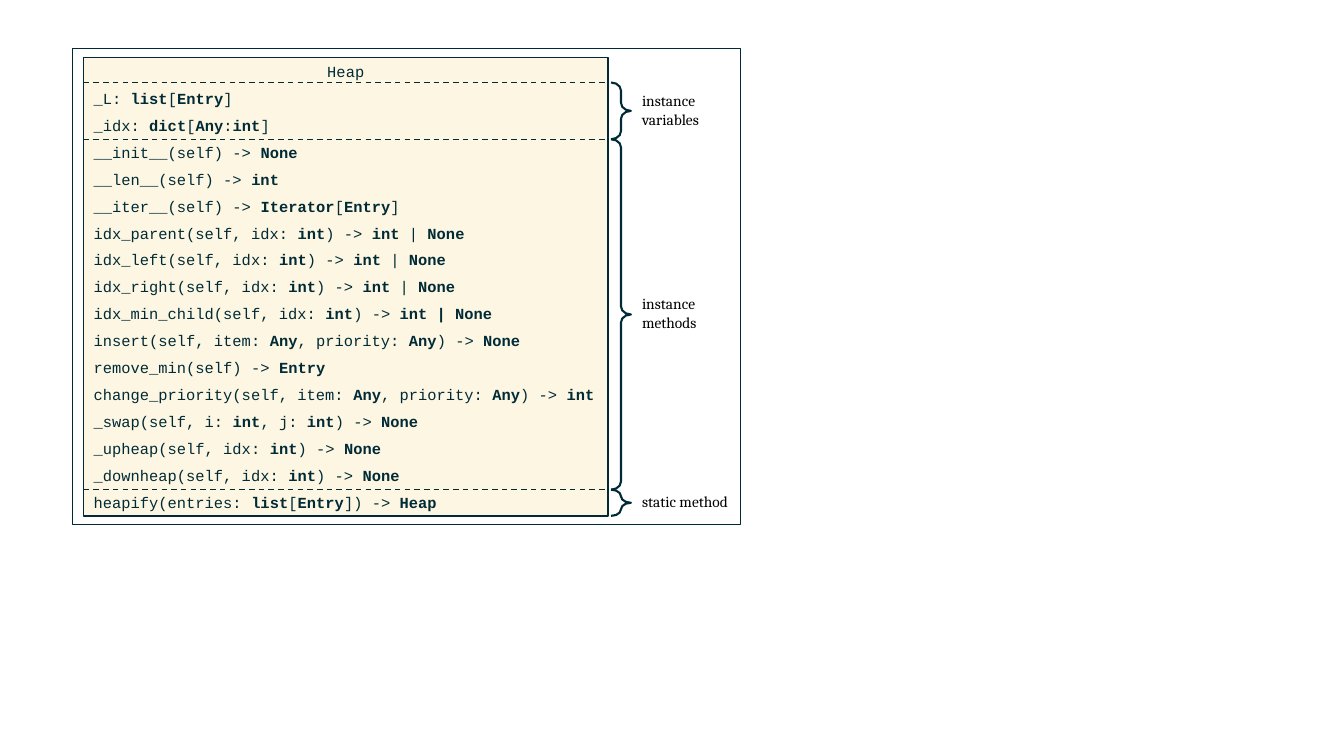
"""Build a slide showing the members of the Heap class."""
from lxml.etree import SubElement
from pptx import Presentation
from pptx.dml.color import RGBColor
from pptx.enum.dml import MSO_LINE
from pptx.enum.shapes import MSO_CONNECTOR, MSO_SHAPE
from pptx.enum.text import MSO_ANCHOR, MSO_AUTO_SIZE, PP_ALIGN
from pptx.oxml.ns import qn
from pptx.util import Cm, Pt

COLORS = {"ink": "002B36", "cream": "FDF6E3", "white": "FFFFFF", "black": "000000"}

MEMBERS = [
    "Heap",
    "_L: *list*[*Entry*]",
    "_idx: *dict*[*Any*:*int*]",
    "__init__(self) -> *None*",
    "__len__(self) -> *int*",
    "__iter__(self) -> *Iterator*[*Entry*]",
    "idx_parent(self, idx: *int*) -> *int* | *None*",
    "idx_left(self, idx: *int*) -> *int* | *None*",
    "idx_right(self, idx: *int*) -> *int* | *None*",
    "idx_min_child(self, idx: *int*) -> *int | None*",
    "insert(self, item: *Any*, priority: *Any*) -> *None*",
    "remove_min(self) -> *Entry*",
    "change_priority(self, item: *Any*, priority: *Any*) -> *int*",
    "_swap(self, i: *int*, j: *int*) -> *None*",
    "_upheap(self, idx: *int*) -> *None*",
    "_downheap(self, idx: *int*) -> *None*",
    "heapify(entries: *list*[*Entry*]) -> *Heap*",
]

LEFT, TOP, WIDTH, BOTTOM = 2.11, 1.45, 13.21, 13.0
SECTIONS = [
    (2.08, 3.51, "instance variables", 2.18, 2.11),
    (3.51, 12.34, "instance methods", 7.29, 2.41),
    (12.34, BOTTOM, "static method", 12.27, 2.9),
]


def rgb(name):
    return RGBColor.from_string(COLORS[name])


def add_outline(kind, left, top, width, height, fill, weight):
    sp = s.shapes.add_shape(kind, Cm(left), Cm(top), Cm(width), Cm(height))
    sp.shadow.inherit = False
    if fill:
        sp.fill.solid()
        sp.fill.fore_color.rgb = rgb(fill)
    else:
        sp.fill.background()
    sp.line.color.rgb = rgb("ink")
    sp.line.width = Pt(weight)
    return sp


prs = Presentation()
prs.slide_width, prs.slide_height = Cm(33.87), Cm(19.05)
s = prs.slides.add_slide(prs.slide_layouts[6])

add_outline(MSO_SHAPE.RECTANGLE, 1.83, 1.23, 16.84, 11.99, "white", 1)
box = add_outline(MSO_SHAPE.RECTANGLE, LEFT, TOP, WIDTH, BOTTOM - TOP, "cream", 1)
tf = box.text_frame
tf.word_wrap = True
tf.vertical_anchor = MSO_ANCHOR.MIDDLE
for i, member in enumerate(MEMBERS):
    p = tf.add_paragraph() if i else tf.paragraphs[0]
    p.alignment = PP_ALIGN.LEFT if i else PP_ALIGN.CENTER
    p.space_before = Pt(6)
    p.line_spacing = Pt(13.2)
    for j, part in enumerate(member.split("*")):
        if part:
            r = p.add_run()
            r.text = part
            r.font.name = "Courier New"
            r.font.size = Pt(11)
            r.font.bold = j % 2 == 1
            r.font.color.rgb = rgb("ink")

for top, bottom, label, label_top, label_width in SECTIONS:
    line = s.shapes.add_connector(
        MSO_CONNECTOR.STRAIGHT, Cm(LEFT), Cm(top), Cm(LEFT + WIDTH), Cm(top))
    line.line.color.rgb = rgb("ink")
    line.line.width = Pt(1)
    line.line.dash_style = MSO_LINE.DASH
    SubElement(line._element.spPr, qn("a:effectLst"))

    brace = add_outline(MSO_SHAPE.RIGHT_BRACE, 15.4, top, 0.5, bottom - top, None, 1.5)
    brace.adjustments[0] = 0.407

    height = 0.73 if label == "static method" else 1.19
    tb = s.shapes.add_textbox(Cm(15.93), Cm(label_top), Cm(label_width), Cm(height))
    tf = tb.text_frame
    tf.word_wrap = True
    tf.auto_size = MSO_AUTO_SIZE.SHAPE_TO_FIT_TEXT
    tf.text = label
    font = tf.paragraphs[0].runs[0].font
    font.name = "Cambria"
    font.size = Pt(11)
    font.color.rgb = rgb("black")

prs.save("out.pptx")
